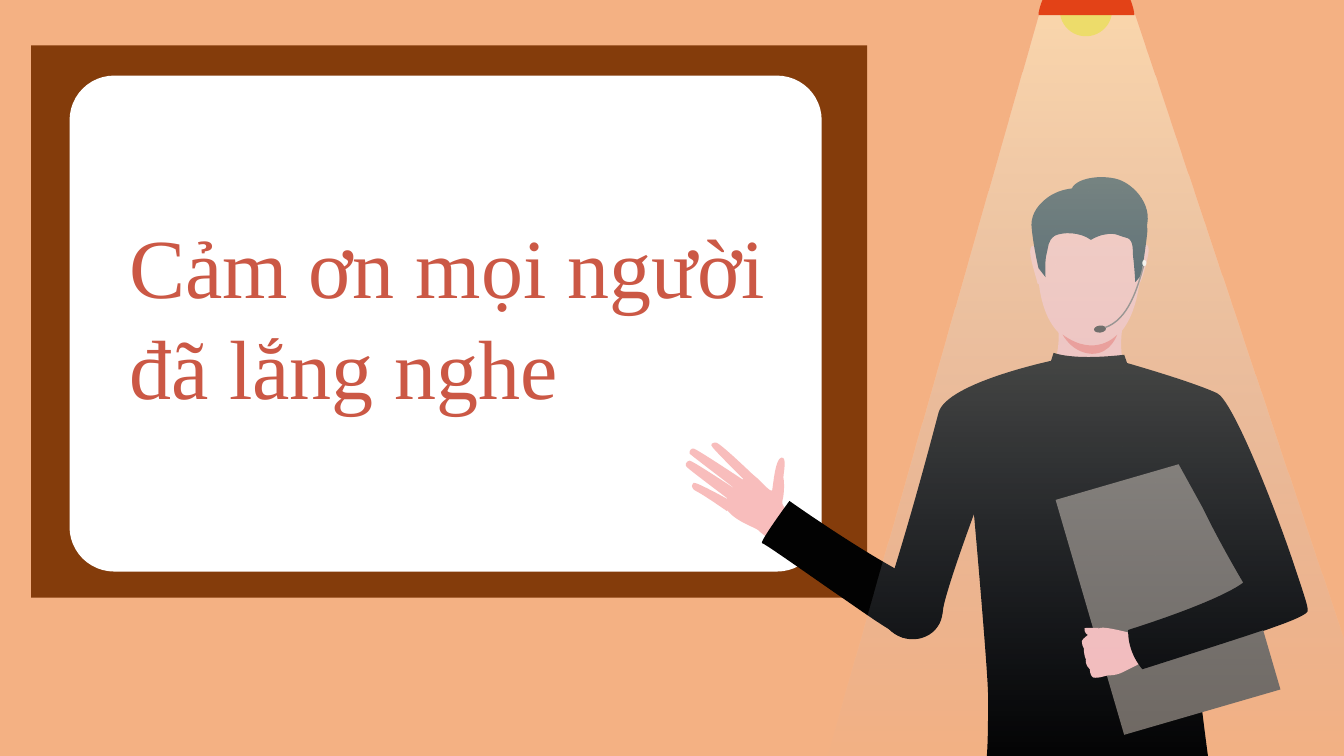
from dataclasses import dataclass
from lxml.etree import SubElement
from pptx import Presentation
from pptx.dml.color import RGBColor
from pptx.enum.shapes import MSO_SHAPE
from pptx.enum.text import MSO_ANCHOR, MSO_AUTO_SIZE, PP_ALIGN
from pptx.oxml.ns import qn
from pptx.util import Inches, Pt


@dataclass(frozen=True)
class Theme:
    background: str = "F4B183"
    frame: str = "843C0B"
    white: str = "FFFFFF"
    cloth: str = "020202"
    skin: str = "F8BDBC"
    neck_shade: str = "F28582"
    hair: str = "163342"
    folder: str = "6E6760"
    microphone: str = "3B3838"
    wire: str = "767171"
    bulb: str = "EDDC6A"
    lamp: str = "E34217"
    light_top: str = "FFF2CC"
    light_bottom: str = "ABC0E4"
    title: str = "CB5845"
    font: str = "Times New Roman"
    title_size: int = 60


THEME = Theme()

# Outlines in inches: M starts, L draws a line, C draws a cubic curve, Z closes
TORSO = ("M 10.89 3.52 C 10.89 3.52 11.74 3.75 12.07 3.9 C 12.22 3.97 12.61 4.94 12.82 5.56 "
         "C 12.91 5.83 12.98 6.03 12.97 6.06 C 12.97 6.09 12.84 6.15 12.64 6.22 "
         "C 12.42 6.3 12.13 6.39 11.87 6.47 C 11.87 6.73 12 7.63 12.02 7.8 "
         "C 11.67 7.96 9.68 8.05 9.79 7.47 C 9.8 7.31 9.8 7.06 9.8 6.91 "
         "C 9.8 6.67 9.66 5.1 9.66 5.1 C 9.66 5.1 9.36 5.91 9.35 6.07 "
         "C 9.35 6.09 9.33 6.13 9.31 6.18 L 9.26 6.19 L 8.79 5.9 L 8.81 5.84 "
         "C 9.05 5.08 9.23 4.39 9.31 4.09 C 9.4 3.79 10.47 3.57 10.47 3.57 Z")
NECK = ("M 10.49 3.2 C 10.49 3.2 10.53 3.44 10.45 3.6 C 10.45 3.6 10.38 3.98 10.77 4 "
        "C 11.16 4.02 11.17 3.67 11.17 3.67 C 11.17 3.67 11.08 3.54 11.14 3.2 "
        "C 11.2 2.86 10.49 3.2 10.49 3.2 Z")
FACE = ("M 10.72 2.01 C 10.72 2.01 10.22 2.08 10.3 2.78 C 10.37 3.49 10.82 3.43 10.85 3.43 "
        "C 10.88 3.43 11.29 3.44 11.32 2.58 C 11.32 2.58 11.34 1.95 10.72 2.01 Z")
LEFT_EAR = ("M 10.29 2.46 C 10.29 2.46 10.24 2.4 10.22 2.47 C 10.2 2.53 10.29 2.79 10.29 2.81 "
            "C 10.29 2.81 10.3 2.83 10.32 2.82 C 10.33 2.81 10.29 2.46 10.29 2.46 Z")
RIGHT_EAR = ("M 11.31 2.45 C 11.31 2.45 11.36 2.39 11.39 2.45 C 11.41 2.51 11.32 2.79 11.31 2.8 "
             "C 11.31 2.8 11.3 2.82 11.29 2.81 C 11.28 2.8 11.31 2.45 11.31 2.45 Z")
HAIR = ("M 10.3 2.66 L 10.37 2.75 C 10.37 2.75 10.36 2.59 10.38 2.52 "
        "C 10.4 2.45 10.39 2.39 10.46 2.34 C 10.54 2.3 10.71 2.3 10.82 2.38 "
        "C 10.99 2.28 11.11 2.33 11.18 2.36 C 11.25 2.39 11.23 2.49 11.24 2.56 "
        "C 11.25 2.63 11.26 2.8 11.26 2.8 L 11.32 2.73 C 11.32 2.73 11.38 2.35 11.38 2.28 "
        "C 11.37 2.2 11.4 1.8 10.63 1.87 C 10.54 1.88 10.46 1.91 10.39 1.96 "
        "C 10.31 2.02 10.23 2.11 10.23 2.23 C 10.24 2.4 10.3 2.66 10.3 2.66 Z")
NECK_SHADE = ("M 11.08 3.32 C 11.08 3.32 10.87 3.56 10.54 3.32 "
              "C 10.54 3.32 10.63 3.5 10.83 3.51 C 11.02 3.51 11.08 3.32 11.08 3.32 Z")
FOLDER = "M 12.02 4.51 L 10.47 4.96 L 11.15 7.29 L 12.7 6.84 Z"
THUMB = ("M 10.9 6.23 C 10.9 6.23 10.8 6.23 10.77 6.23 C 10.74 6.22 10.76 6.29 10.79 6.3 "
         "C 10.83 6.31 10.9 6.23 10.9 6.23 Z")
FIST = ("M 10.84 6.72 C 10.84 6.72 10.88 6.73 10.91 6.72 L 10.99 6.7 "
        "C 11.01 6.7 11.06 6.7 11.11 6.68 C 11.16 6.66 11.33 6.57 11.33 6.57 "
        "L 11.28 6.42 L 11.25 6.29 C 11.25 6.29 10.96 6.21 10.91 6.23 "
        "C 10.86 6.25 10.83 6.27 10.81 6.28 C 10.81 6.29 10.74 6.33 10.73 6.36 "
        "C 10.73 6.39 10.74 6.42 10.75 6.43 C 10.75 6.43 10.75 6.5 10.77 6.54 "
        "C 10.77 6.54 10.76 6.6 10.81 6.64 C 10.81 6.64 10.81 6.7 10.84 6.72 Z")
FOLDED_ARM = ("M 11.19 6.25 C 11.19 6.25 11.17 6.45 11.33 6.64 C 11.33 6.64 12.53 6.26 12.68 6.2 "
              "C 12.82 6.15 12.15 4.38 12.15 4.38 L 11.66 4.55 L 11.93 5.04 "
              "C 11.93 5.04 12.06 5.32 12.33 5.78 C 12.33 5.78 12.16 5.94 11.19 6.25 Z")
COLLAR = ("M 10.34 3.85 L 10.45 3.5 C 10.45 3.5 10.63 3.58 11.15 3.52 L 11.27 3.86 "
          "C 11.27 3.86 10.82 4.25 10.34 3.85 Z")
FRINGE = ("M 10.62 1.89 C 10.66 1.76 10.93 1.73 11.09 1.78 C 11.25 1.83 11.47 2.06 11.35 2.31 "
          "C 11.31 2.44 11.06 2.33 10.94 2.26 C 10.82 2.19 10.58 2.02 10.62 1.89 Z")
WIRE = "M 11.35 2.61 C 11.28 2.87 11.19 3.17 10.96 3.25"
PALM = ("M 7.92 5.14 C 7.92 5.14 7.74 5.05 7.76 4.97 C 7.78 4.9 7.78 4.78 7.77 4.74 "
        "C 7.77 4.69 7.81 4.53 7.75 4.54 C 7.69 4.55 7.67 4.8 7.66 4.86 "
        "C 7.65 4.91 7.51 4.72 7.46 4.71 C 7.41 4.69 7.11 4.96 7.22 5.07 "
        "C 7.32 5.19 7.52 5.24 7.53 5.27 C 7.55 5.29 7.7 5.4 7.7 5.4 Z")
FINGERS = ("M 7.49 4.73 C 7.49 4.73 7.14 4.39 7.1 4.39 C 7.06 4.39 7.04 4.41 7.07 4.44 "
           "C 7.1 4.48 7.4 4.78 7.4 4.78 C 7.4 4.78 6.92 4.46 6.88 4.45 "
           "C 6.86 4.44 6.83 4.48 6.84 4.5 C 6.86 4.52 7.32 4.87 7.32 4.87 "
           "C 7.32 4.87 6.87 4.57 6.84 4.57 C 6.81 4.57 6.78 4.62 6.82 4.64 "
           "C 6.85 4.67 7.25 4.97 7.25 4.97 C 7.25 4.97 6.91 4.78 6.88 4.79 "
           "C 6.87 4.8 6.83 4.84 6.92 4.88 C 7.01 4.93 7.21 5.07 7.21 5.07 Z")
SLEEVE = ("M 9.25 5.82 L 8.96 6.33 L 8.88 6.28 C 8.72 6.19 8.5 6.03 8.28 5.88 "
          "C 7.92 5.63 7.58 5.39 7.56 5.39 C 7.52 5.39 7.83 4.97 7.83 4.97 "
          "C 7.83 4.97 8.28 5.29 8.72 5.55 C 8.89 5.65 9.05 5.74 9.18 5.79 Z")
LIGHT = "M 8.16 7.67 L 10.32 0.1 L 11.24 0.1 L 13.77 7.67 Z"
LAMP = ("M 11.02 -0.25 C 11.14 -0.17 11.22 -0.03 11.25 0.13 L 11.25 0.15 L 10.3 0.15 "
        "L 10.3 0.13 C 10.35 -0.13 10.54 -0.32 10.78 -0.32 C 10.86 -0.32 10.95 -0.29 11.02 -0.25 Z")


def color(value):
    return RGBColor.from_string(value)


def paint(shape, fill):
    shape.shadow.inherit = False
    shape.fill.solid()
    shape.fill.fore_color.rgb = color(fill)
    shape.line.fill.background()
    return shape


def add_preset(shapes, kind, box, fill, rotation=0):
    shape = paint(shapes.add_shape(kind, *map(Inches, box)), fill)
    shape.rotation = rotation
    return shape


def trace(outline):
    """List the segments of an outline: control points, then the end point."""
    tokens = iter(outline.split())
    segments = []
    for command in tokens:
        if command != "Z":
            count = 3 if command == "C" else 1
            segments.append([(Inches(float(next(tokens))), Inches(float(next(tokens))))
                             for _ in range(count)])
    return segments


def bend(shape, line, controls):
    """Turn a straight segment into a cubic curve."""
    line.tag = qn("a:cubicBezTo")
    end = line[0]
    for x, y in controls:
        point = SubElement(line, qn("a:pt"))
        point.set("x", str(x - shape.left))
        point.set("y", str(y - shape.top))
    line.append(end)


def add_outline(shapes, outline, fill):
    (start,), *segments = trace(outline)
    builder = shapes.build_freeform(*start)
    builder.add_line_segments([segment[-1] for segment in segments], close=outline.endswith("Z"))
    shape = builder.convert_to_shape()
    for line, (*controls, _) in zip(list(shape.element.iter(qn("a:lnTo"))), segments):
        if controls:
            bend(shape, line, controls)
    return paint(shape, fill)


def add_wire(shapes):
    wire = add_outline(shapes, WIRE, THEME.wire)
    wire.fill.background()
    wire.line.color.rgb = color(THEME.wire)
    wire.line.width = Pt(1)


def add_light(shapes):
    light = add_outline(shapes, LIGHT, THEME.light_top)
    light.fill.gradient()
    light.fill.gradient_angle = 270
    for stop, tint in zip(light.fill.gradient_stops, (THEME.light_top, THEME.light_bottom)):
        stop.color.rgb = color(tint)
    for tint, opacity in zip(light.element.iter(qn("a:srgbClr")), (58, 0)):
        SubElement(tint, qn("a:alpha")).set("val", str(opacity * 1000))


def add_board(shapes):
    add_preset(shapes, MSO_SHAPE.RECTANGLE, (0.31, 0.45, 8.29, 5.48), THEME.frame)
    panel = add_preset(shapes, MSO_SHAPE.ROUNDED_RECTANGLE, (0.69, 0.75, 7.46, 4.92), THEME.white)
    panel.adjustments[0] = 0.09


def add_speaker(shapes):
    for outline, fill in (
            (TORSO, THEME.cloth), (NECK, THEME.skin), (FACE, THEME.skin),
            (LEFT_EAR, THEME.skin), (RIGHT_EAR, THEME.skin), (HAIR, THEME.hair),
            (NECK_SHADE, THEME.neck_shade), (FOLDER, THEME.folder), (THUMB, THEME.skin),
            (FIST, THEME.skin), (FOLDED_ARM, THEME.cloth), (COLLAR, THEME.cloth),
            (FRINGE, THEME.hair)):
        add_outline(shapes, outline, fill)
    # Headset
    add_preset(shapes, MSO_SHAPE.OVAL, (10.85, 3.23, 0.12, 0.07), THEME.microphone, 353.4)
    add_wire(shapes)
    add_preset(shapes, MSO_SHAPE.OVAL, (11.33, 2.58, 0.04, 0.06), THEME.white)


def add_pointing_arm(shapes):
    for outline, fill in ((PALM, THEME.skin), (FINGERS, THEME.skin), (SLEEVE, THEME.cloth)):
        add_outline(shapes, outline, fill)
    add_preset(shapes, MSO_SHAPE.OVAL, (8.75, 5.74, 0.58, 0.62), THEME.cloth, 108.6)


def add_spotlight(shapes):
    add_light(shapes)
    add_preset(shapes, MSO_SHAPE.OVAL, (10.51, -0.16, 0.52, 0.52), THEME.bulb, 95.9)
    add_outline(shapes, LAMP, THEME.lamp)


def set_title(slide, text):
    title = slide.shapes.title
    title.left, title.top, title.width, title.height = map(Inches, (1.18, 2.08, 7.25, 2.12))
    frame = title.text_frame
    frame.word_wrap = True
    frame.auto_size = MSO_AUTO_SIZE.NONE
    frame.vertical_anchor = MSO_ANCHOR.TOP
    paragraph = frame.paragraphs[0]
    paragraph.alignment = PP_ALIGN.LEFT
    run = paragraph.add_run()
    run.text = text
    run.font.name = THEME.font
    run.font.size = Pt(THEME.title_size)
    run.font.color.rgb = color(THEME.title)
    # Bring the title in front of the board
    title.element.getparent().append(title.element)


def main():
    presentation = Presentation()
    presentation.slide_width, presentation.slide_height = Inches(13.33), Inches(7.5)
    slide = presentation.slides.add_slide(presentation.slide_layouts[5])
    slide.background.fill.solid()
    slide.background.fill.fore_color.rgb = color(THEME.background)

    add_board(slide.shapes)
    for add_part in (add_speaker, add_pointing_arm, add_spotlight):
        add_part(slide.shapes.add_group_shape().shapes)
    set_title(slide, "Cảm ơn mọi người đã lắng nghe")
    presentation.save("out.pptx")


if __name__ == "__main__":
    main()
